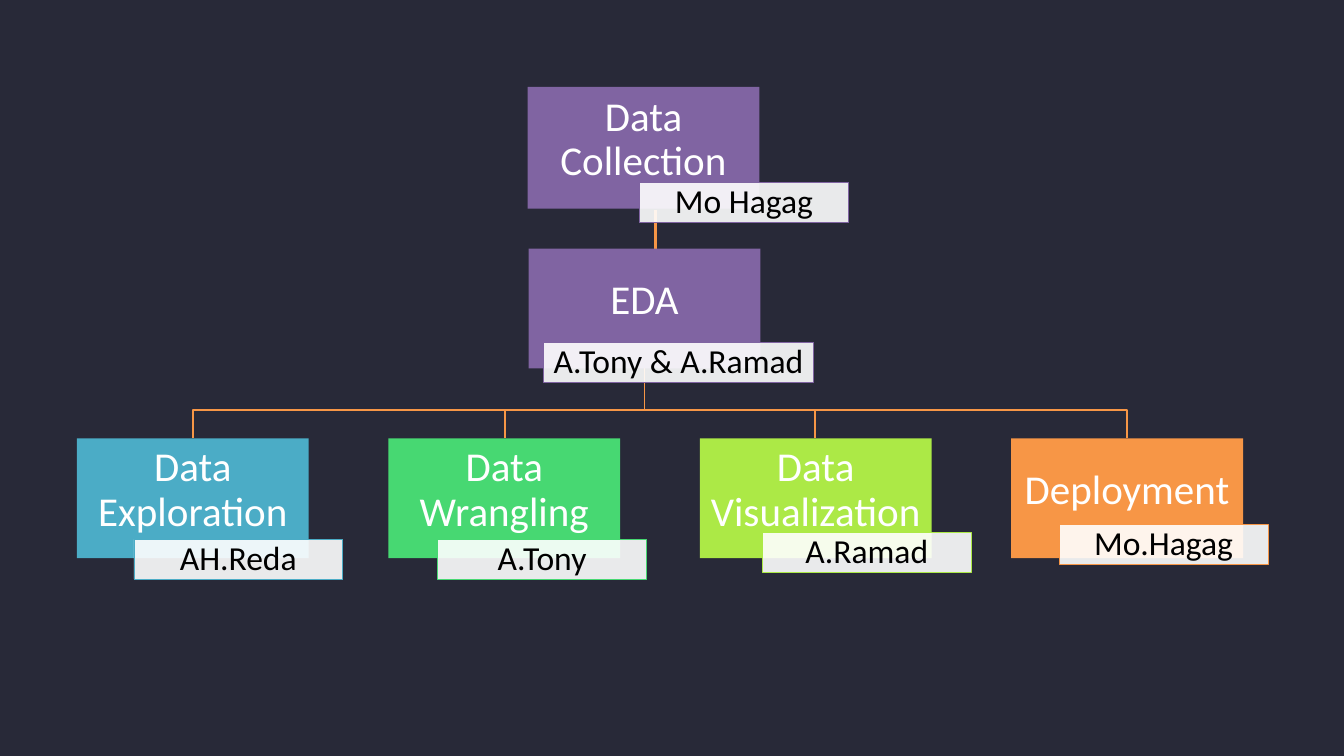
from pptx import Presentation
from pptx.dml.color import RGBColor
from pptx.enum.shapes import MSO_CONNECTOR, MSO_SHAPE
from pptx.enum.text import MSO_ANCHOR, PP_ALIGN
from pptx.oxml.ns import qn
from pptx.util import Pt
from lxml import etree

RECT, STRAIGHT = MSO_SHAPE.RECTANGLE, MSO_CONNECTOR.STRAIGHT
MIDDLE, CENTER = MSO_ANCHOR.MIDDLE, PP_ALIGN.CENTER

NAVY = RGBColor(0x28, 0x29, 0x38)
WHITE = RGBColor(0xFF, 0xFF, 0xFF)
BLACK = RGBColor(0, 0, 0)
PURPLE = RGBColor(0x80, 0x64, 0xA2)
BLUE = RGBColor(0x4B, 0xAC, 0xC6)
GREEN = RGBColor(0x47, 0xD8, 0x72)
LIME = RGBColor(0xAC, 0xE9, 0x46)
ORANGE = RGBColor(0xF7, 0x96, 0x46)

# Content: task, owner, colour, then places in px
# Top tasks: box left, top, height; tag left, top, width
TOP_TASKS = [
    ("Data Collection", "Mo Hagag", PURPLE, (528, 87, 122), (640, 183, 209)),
    ("EDA", "A.Tony & A.Ramad", PURPLE, (529, 249, 120), (544, 343, 270)),
]
# Stages: tag left, top
STAGES = [
    ("Data Exploration", "AH.Reda", BLUE, (134, 540)),
    ("Data Wrangling", "A.Tony", GREEN, (438, 540)),
    ("Data Visualization", "A.Ramad", LIME, (763, 533)),
    ("Deployment", "Mo.Hagag", ORANGE, (1060, 525)),
]

# Layout in px
PX = 914400 / 67.2
BOX_W, BOX_H = 232, 120
TAG_W, TAG_H = 209, 40
STAGE_LEFT, STAGE_RIGHT, STAGE_TOP = 77, 1012, 439
EDA_X, EDA_BOTTOM, BUS_Y = 645, 369, 411
LINK_X, LINK_TOP, LINK_BOTTOM = 656, 210, 255
BOX_INSETS = (2, 2, 2, 17)
TAG_INSETS = (7, 2, 7, 2)


def px(n):
    return round(n * PX)


def add_label(text, place, fill, size, color, insets):
    s = slide.shapes.add_shape(RECT, *map(px, place))
    s.shadow.inherit = False
    s.fill.solid()
    s.fill.fore_color.rgb = fill
    s.line.fill.background()
    tf = s.text_frame
    tf.word_wrap = True
    tf.vertical_anchor = MIDDLE
    tf.margin_left, tf.margin_top, tf.margin_right, tf.margin_bottom = map(px, insets)
    p = tf.paragraphs[0]
    p.text = text
    p.alignment = CENTER
    p.line_spacing = 0.9
    p.font.name = "Calibri"
    p.font.size = Pt(size)
    p.font.color.rgb = color
    return s


def add_task(task, owner, color, box, tag):
    add_label(task, box, color, 44, WHITE, BOX_INSETS)
    s = add_label(owner, tag, WHITE, 36, BLACK, TAG_INSETS)
    s.line.color.rgb = color
    s.line.width = Pt(0.75)
    # Let the box show faintly through the tag
    clr = s.fill._xPr.find(qn("a:solidFill"))[0]
    etree.SubElement(clr, qn("a:alpha")).set("val", "90000")


prs = Presentation()
prs.slide_width, prs.slide_height = px(1345), px(757)
slide = prs.slides.add_slide(prs.slide_layouts[6])
slide.background.fill.solid()
slide.background.fill.fore_color.rgb = NAVY

# Link from Data Collection to EDA
link = slide.shapes.add_connector(
    STRAIGHT, px(LINK_X), px(LINK_TOP), px(LINK_X), px(LINK_BOTTOM))
link.line.color.rgb = ORANGE
link.line.width = Pt(3)
etree.SubElement(link._element.spPr, qn("a:effectLst"))

# Branches from EDA to the stages
pitch = (STAGE_RIGHT - STAGE_LEFT) / (len(STAGES) - 1)
stage_lefts = [STAGE_LEFT + i * pitch for i in range(len(STAGES))]
for left in stage_lefts:
    x = left + BOX_W / 2
    branch = slide.shapes.build_freeform(EDA_X, EDA_BOTTOM, scale=PX)
    branch.add_line_segments(
        [(EDA_X, BUS_Y), (x, BUS_Y), (x, STAGE_TOP)], close=False)
    s = branch.convert_to_shape()
    s.shadow.inherit = False
    s.fill.background()
    s.line.color.rgb = ORANGE
    s.line.width = Pt(2)

# Tasks with their owners
for task, owner, color, (left, top, height), (tag_x, tag_y, tag_w) in TOP_TASKS:
    add_task(task, owner, color, (left, top, BOX_W, height),
             (tag_x, tag_y, tag_w, TAG_H))
for left, (task, owner, color, tag_at) in zip(stage_lefts, STAGES):
    add_task(task, owner, color, (left, STAGE_TOP, BOX_W, BOX_H),
             (*tag_at, TAG_W, TAG_H))

prs.save("out.pptx")
